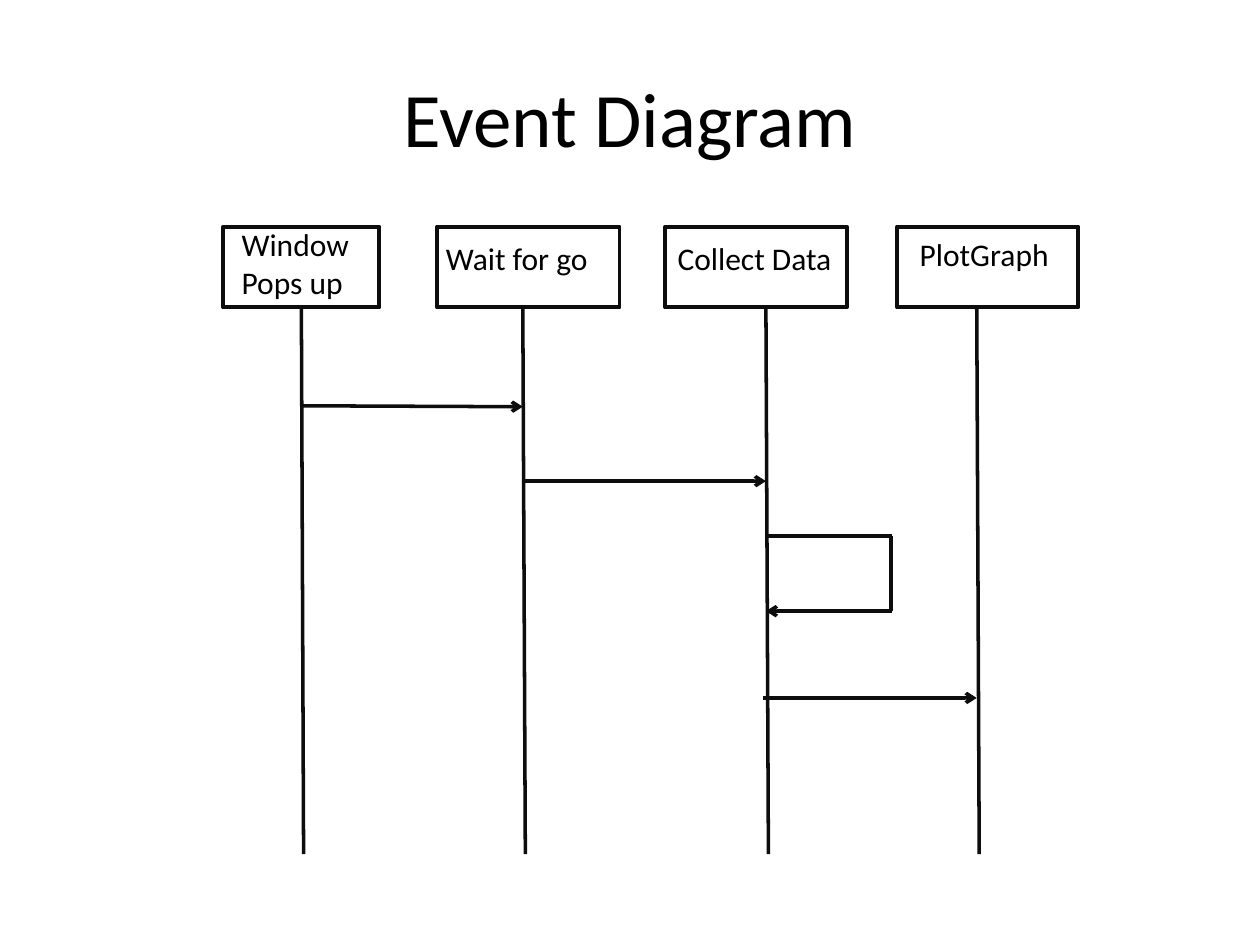
"""Build the Event Diagram slide: four participants, their lifelines and the messages between them."""
from lxml import etree
from pptx import Presentation
from pptx.dml.color import RGBColor
from pptx.enum.shapes import MSO_CONNECTOR, MSO_SHAPE
from pptx.enum.text import MSO_ANCHOR, PP_ALIGN
from pptx.oxml.ns import qn
from pptx.util import Cm, Pt

STRAIGHT = MSO_CONNECTOR.STRAIGHT
RECTANGLE = MSO_SHAPE.RECTANGLE
MIDDLE, TOP = MSO_ANCHOR.MIDDLE, MSO_ANCHOR.TOP
CENTER, LEFT = PP_ALIGN.CENTER, PP_ALIGN.LEFT
BOTTOM_SITE = 2

COLORS = {"line": "0D0D0D", "text": "000000"}
FONT = "Calibri"
TITLE = ("Event Diagram", (1.27, 0.76, 22.86, 3.18))

BOX_TOP, BOX_HEIGHT = 4.57, 1.63
LIFELINE_END, LIFELINE_SLANT = 17.22, 0.05
PARTICIPANTS = [
    {"label": "Window Pops up", "box": (4.5, 3.15), "lifeline": 6.07,
     "text": (4.62, 4.42, 3.02, 1.78), "wrap": True},
    {"label": "Wait for go", "box": (8.81, 3.68), "lifeline": 10.54,
     "text": (8.74, 4.7, 3.4, 1.02), "wrap": False},
    {"label": "Collect Data", "box": (13.41, 3.66), "lifeline": 15.44,
     "text": (13.41, 4.7, 3.66, 1.02), "wrap": True},
    {"label": "PlotGraph", "box": (18.08, 3.66), "lifeline": 19.69,
     "text": (18.29, 4.62, 3.66, 1.02), "wrap": True},
]
MESSAGES = [
    ((6.07, 8.18), (10.54, 8.2), True),
    ((10.59, 9.7), (15.44, 9.7), True),
    ((15.44, 10.8), (17.98, 10.8), False),
    ((17.96, 10.8), (17.96, 12.32), False),
    ((17.98, 12.32), (15.44, 12.32), True),
    ((15.39, 14.07), (19.69, 14.07), True),
]


def add_text(slide, text, place, size, align=LEFT, anchor=TOP, wrap=True):
    shape = slide.shapes.add_textbox(*map(Cm, place))
    frame = shape.text_frame
    frame.word_wrap = wrap
    frame.vertical_anchor = anchor
    paragraph = frame.paragraphs[0]
    paragraph.alignment = align
    run = paragraph.add_run()
    run.text = text
    run.font.size = Pt(size)
    run.font.name = FONT
    run.font.color.rgb = RGBColor.from_string(COLORS["text"])


def style_line(line, width):
    line.color.rgb = RGBColor.from_string(COLORS["line"])
    line.width = Pt(width)


def add_box(slide, left, width):
    shape = slide.shapes.add_shape(RECTANGLE, Cm(left), Cm(BOX_TOP), Cm(width), Cm(BOX_HEIGHT))
    shape.shadow.inherit = False
    shape.fill.background()
    style_line(shape.line, 2.25)
    return shape


def add_line(slide, start, end, arrow=False):
    connector = slide.shapes.add_connector(STRAIGHT, *map(Cm, start + end))
    style_line(connector.line, 2)
    properties = connector._element.spPr
    if arrow:
        etree.SubElement(properties.find(qn("a:ln")), qn("a:tailEnd"), type="arrow")
    etree.SubElement(properties, qn("a:effectLst"))
    return connector


def main():
    presentation = Presentation()
    presentation.slide_width, presentation.slide_height = Cm(25.4), Cm(19.05)
    slide = presentation.slides.add_slide(presentation.slide_layouts[6])

    title, title_place = TITLE
    add_text(slide, title, title_place, 44, CENTER, MIDDLE)

    for participant in PARTICIPANTS:
        left, width = participant["box"]
        x = participant["lifeline"]
        box = add_box(slide, left, width)
        lifeline = add_line(slide, (x, BOX_TOP + BOX_HEIGHT), (x + LIFELINE_SLANT, LIFELINE_END))
        if abs(left + width / 2 - x) < 0.02:
            lifeline.begin_connect(box, BOTTOM_SITE)
        add_text(slide, participant["label"], participant["text"], 18, wrap=participant["wrap"])

    for start, end, arrow in MESSAGES:
        add_line(slide, start, end, arrow)

    presentation.save("out.pptx")


if __name__ == "__main__":
    main()
